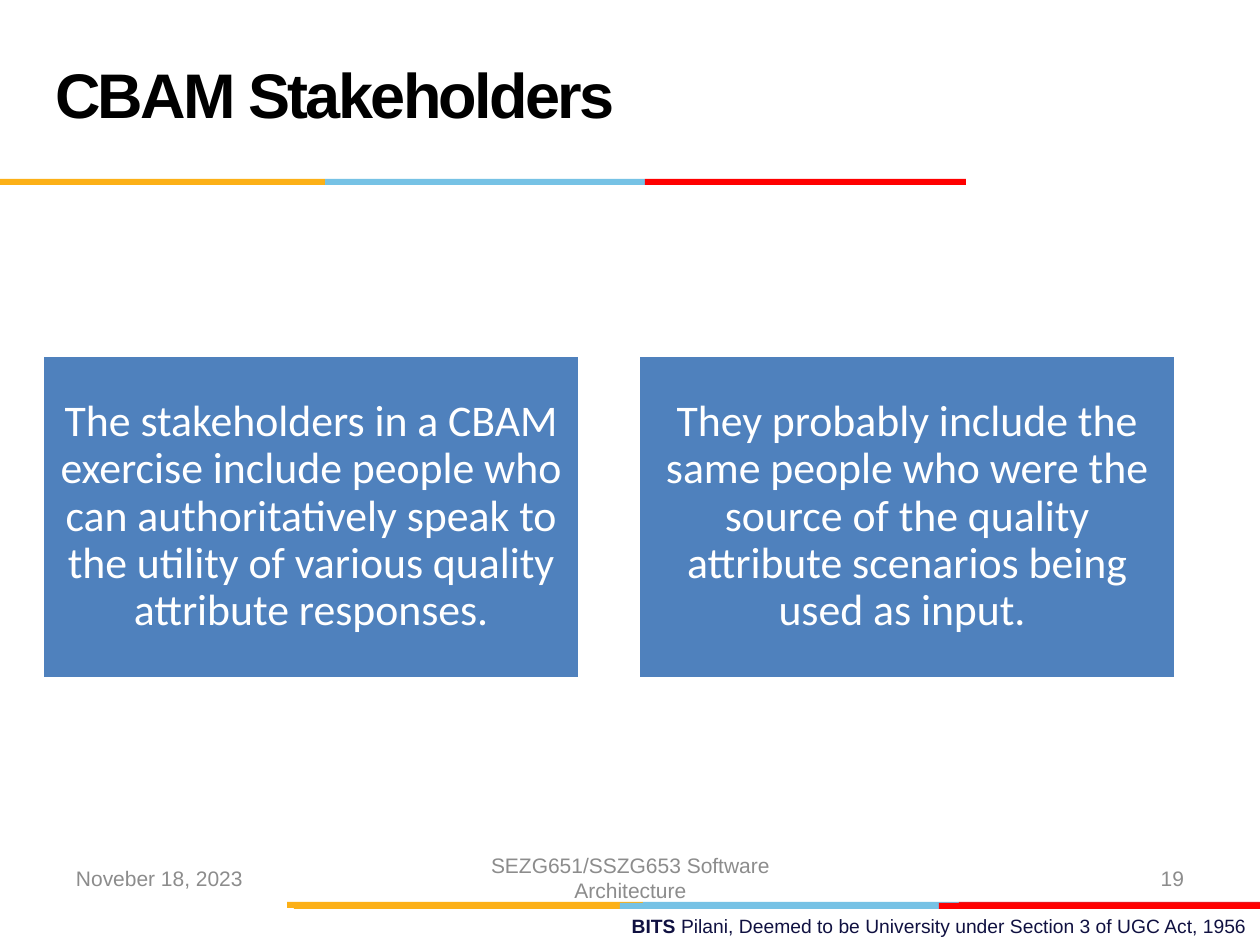
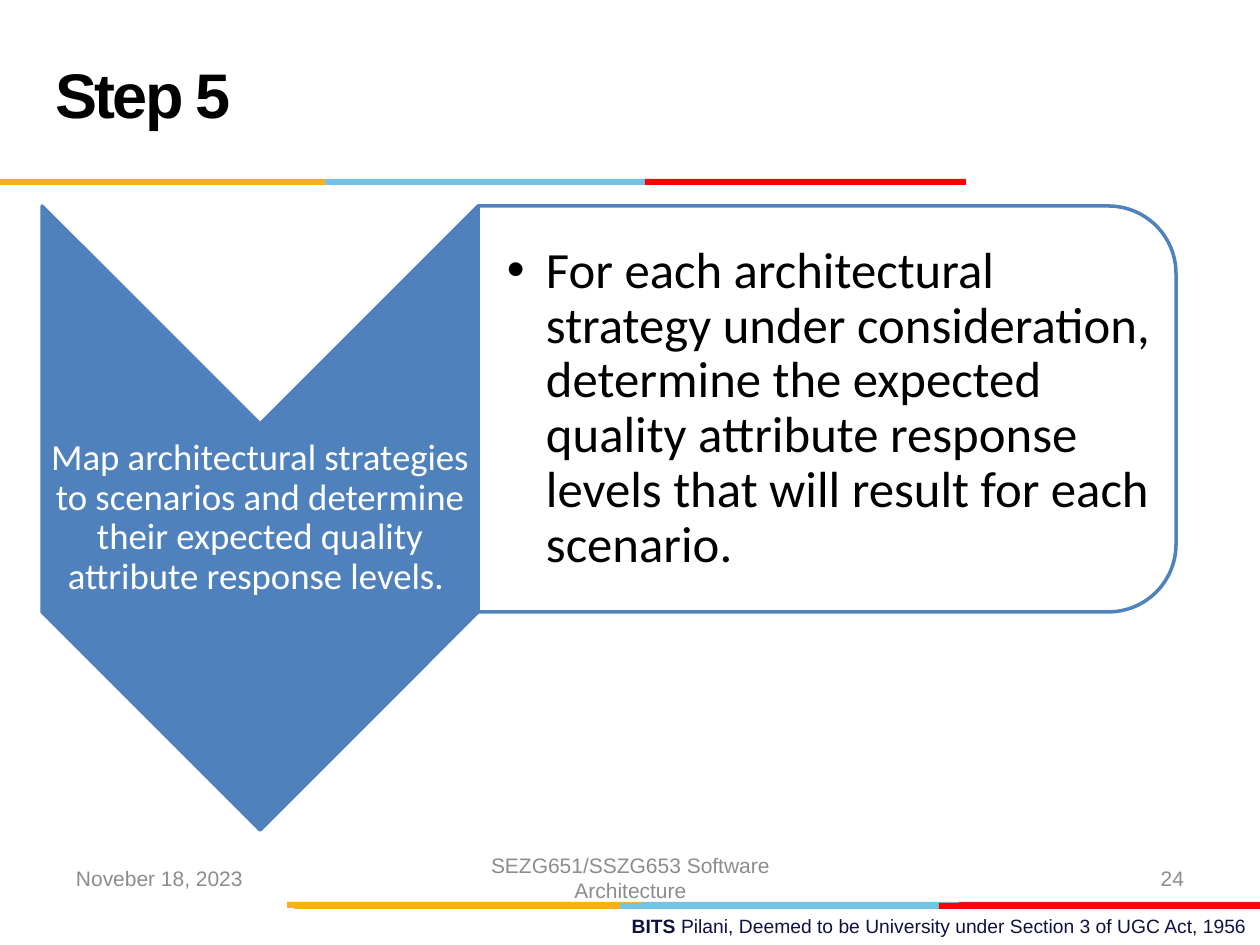
from pptx import Presentation
from pptx.dml.color import RGBColor
from pptx.enum.shapes import MSO_SHAPE
from pptx.enum.text import MSO_ANCHOR, PP_ALIGN
from pptx.oxml import parse_xml
from pptx.oxml.ns import nsdecls
from pptx.util import Emu, Pt

PX = 914400 / 126
W, H = 1260, 945

WHITE = RGBColor(0xFF, 0xFF, 0xFF)
BLACK = RGBColor(0, 0, 0)
NAVY = RGBColor(0x10, 0x11, 0x41)
GRAY = RGBColor(0x8C, 0x8C, 0x8C)
BLUE = RGBColor(0x4F, 0x81, 0xBD)
GOLD = RGBColor(0xFC, 0xB0, 0x17)
SKY = RGBColor(0x76, 0xC2, 0xE5)
RED = RGBColor(0xFF, 0, 0)
CRIMSON = RGBColor(0xE3, 0x1C, 0x24)

TITLE = dict(name="Arial", size=Pt(36), bold=True)
FOOTER = dict(name="Arial", size=Pt(12))
CREDIT = dict(name="Arial", size=Pt(11))
CARD = dict(name="Calibri", size=Pt(25))
STEP = dict(name="Calibri", size=Pt(21))
DETAIL = dict(name="Calibri", size=Pt(29))

BAR_H = 6
# Each band: top, left edge, then (colour, right edge) of its segments
BANDS = [
    (902, 287, [(GOLD, 643), (SKY, 959), (CRIMSON, W)]),
    (903, 294, [(GOLD, 620), (SKY, 939), (RED, W)]),
    (179, 0, [(GOLD, 325), (SKY, 645), (RED, 966)]),
]


def emu(*lengths):
    return [Emu(round(n * PX)) for n in lengths]


def style(font, color, formats):
    font.color.rgb = color
    for key, value in formats.items():
        setattr(font, key, value)


def set_frame(tf, anchor=MSO_ANCHOR.MIDDLE, margins=(13, 6, 13, 6)):
    tf.word_wrap = True
    tf.vertical_anchor = anchor
    sides = ("left", "top", "right", "bottom")
    for side, margin in zip(sides, emu(*margins)):
        setattr(tf, f"margin_{side}", margin)


def write(p, text, color, formats, align=PP_ALIGN.LEFT, spacing=None):
    p.alignment = align
    p.line_spacing = spacing
    r = p.add_run()
    r.text = text
    style(r.font, color, formats)
    return r


def add_text(s, box, **frame):
    tf = s.shapes.add_textbox(*emu(*box)).text_frame
    set_frame(tf, **frame)
    return tf.paragraphs[0]


def add_shape(s, kind, box, fill, line=None):
    sp = s.shapes.add_shape(kind, *emu(*box))
    sp.shadow.inherit = False
    sp.fill.solid()
    sp.fill.fore_color.rgb = fill
    if line is None:
        sp.line.fill.background()
    else:
        sp.line.color.rgb = line
        sp.line.width = Pt(2)
    return sp


def add_turned(s, kind, box, fill, line):
    """Add a shape turned a quarter clockwise so that it fills the box."""
    x, y, w, h = box
    turned = (x + (w - h) / 2, y + (h - w) / 2, h, w)
    add_shape(s, kind, turned, fill, line).rotation = 90


def add_bands(s):
    for top, left, segments in BANDS:
        for color, right in segments:
            add_shape(s, MSO_SHAPE.RECTANGLE, (left, top, right - left, BAR_H), color)
            left = right


def add_title(s, text):
    title = s.shapes.title
    title.left, title.top, title.width, title.height = emu(42, 21, 872, 158)
    set_frame(title.text_frame)
    r = write(title.text_frame.paragraphs[0], text, BLACK, TITLE, spacing=Pt(36))
    r.font._element.set("spc", "-150")


def add_footer(s, number):
    p = add_text(s, (451, 908, 809, 37), anchor=MSO_ANCHOR.TOP)
    write(p, "BITS ", NAVY, CREDIT | dict(bold=True), PP_ALIGN.RIGHT)
    write(p, "Pilani, Deemed to be University under Section 3 of UGC Act, 1956",
          NAVY, CREDIT, PP_ALIGN.RIGHT)
    for x, w, text, align in [
        (63, 294, "Noveber 18, 2023", PP_ALIGN.LEFT),
        (431, 399, "SEZG651/SSZG653 Software Architecture", PP_ALIGN.CENTER),
        (903, 294, str(number), PP_ALIGN.RIGHT),
    ]:
        write(add_text(s, (x, 853, w, 50)), text, GRAY, FOOTER, align)


def add_slide(prs, title, number):
    s = prs.slides.add_slide(prs.slide_layouts[5])
    add_bands(s)
    add_title(s, title)
    add_footer(s, number)
    return s


def add_cards(s, box, texts, gap=58):
    x, y, w, h = box
    card_w = (w - gap * (len(texts) - 1)) / len(texts)
    for i, text in enumerate(texts):
        sp = add_shape(s, MSO_SHAPE.RECTANGLE,
                       (x + i * (card_w + gap), y, card_w, h), BLUE, WHITE)
        set_frame(sp.text_frame, margins=(13, 13, 13, 13))
        write(sp.text_frame.paragraphs[0], text, WHITE, CARD, PP_ALIGN.CENTER, 0.9)


def add_step(s, box, step, detail):
    x, y, w, h = box
    arrow_w, panel_h = 436, 406
    panel_x, panel_w = x + arrow_w, w - arrow_w
    add_turned(s, MSO_SHAPE.CHEVRON, (x, y, arrow_w, h), BLUE, BLUE)
    add_turned(s, MSO_SHAPE.ROUND_2_SAME_RECTANGLE,
               (panel_x, y, panel_w, panel_h), WHITE, BLUE)

    notch = arrow_w / 2
    p = add_text(s, (x, y + notch, arrow_w, h - 2 * notch), margins=(1, 1, 1, 1))
    write(p, step, WHITE, STEP, PP_ALIGN.CENTER, 0.9)

    p = add_text(s, (panel_x, y + 20, panel_w - 20, panel_h - 40),
                 margins=(29, 3, 3, 3))
    indent = emu(39)[0]
    pPr = p._p.get_or_add_pPr()
    pPr.set("marL", str(indent))
    pPr.set("indent", str(-indent))
    pPr.append(parse_xml(f'<a:buFont {nsdecls("a")} typeface="Arial"/>'))
    pPr.append(parse_xml(f'<a:buChar {nsdecls("a")} char="•"/>'))
    write(p, detail, BLACK, DETAIL, spacing=0.9)


def main():
    prs = Presentation()
    prs.slide_width, prs.slide_height = emu(W, H)

    s = add_slide(prs, "CBAM Stakeholders", 19)
    add_cards(s, (42, 355, 1134, 324), [
        "The stakeholders in a CBAM exercise include people who can "
        "authoritatively speak to the utility of various quality attribute "
        "responses.",
        "They probably include the same people who were the source of the "
        "quality attribute scenarios being used as input. ",
    ])

    s = add_slide(prs, "Step 5", 24)
    add_step(
        s, (42, 206, 1134, 624),
        "Map architectural strategies to scenarios and determine their "
        "expected quality attribute response levels. ",
        "For each architectural strategy under consideration, determine the "
        "expected quality attribute response levels that will result for each "
        "scenario.")

    prs.save("out.pptx")


if __name__ == "__main__":
    main()
